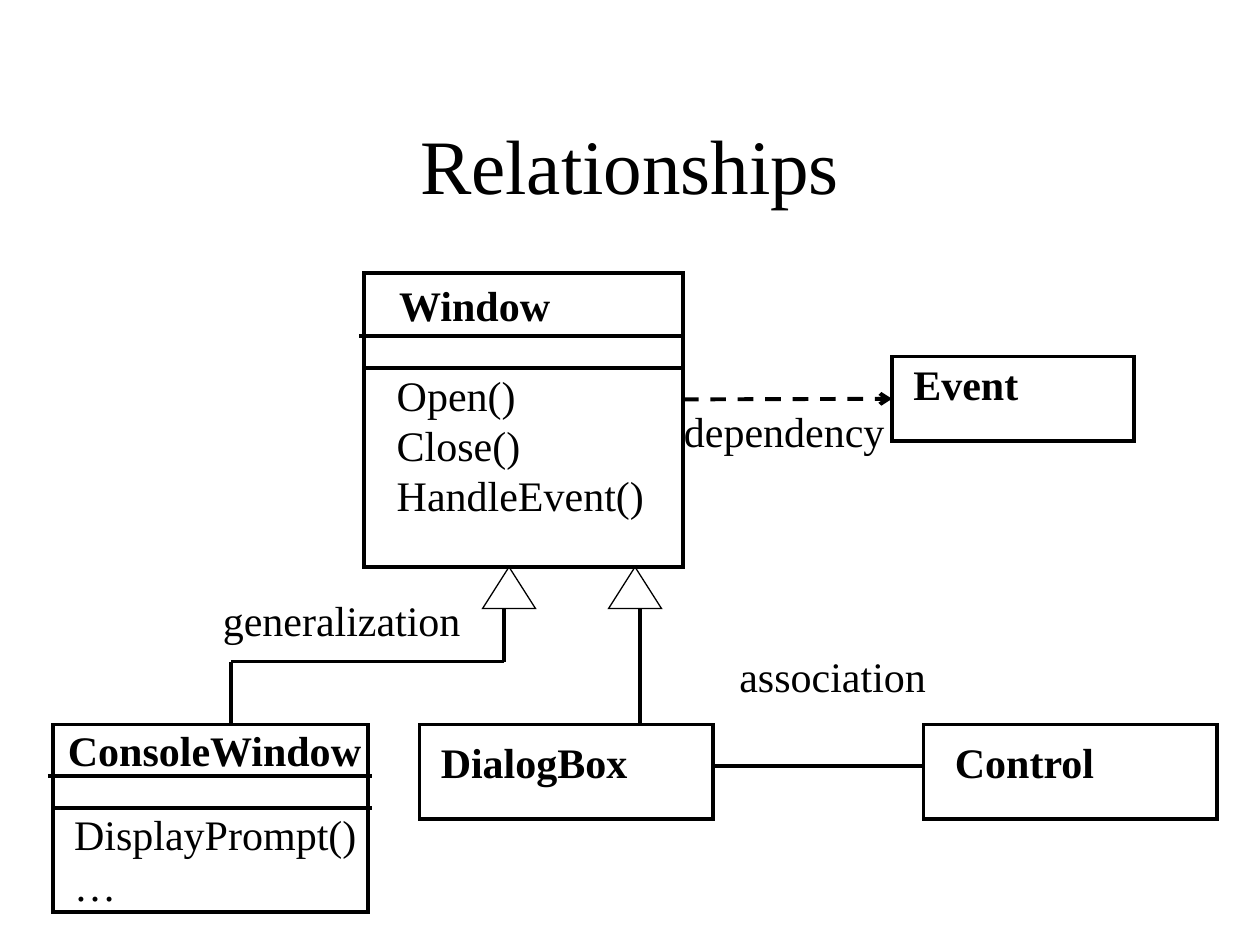
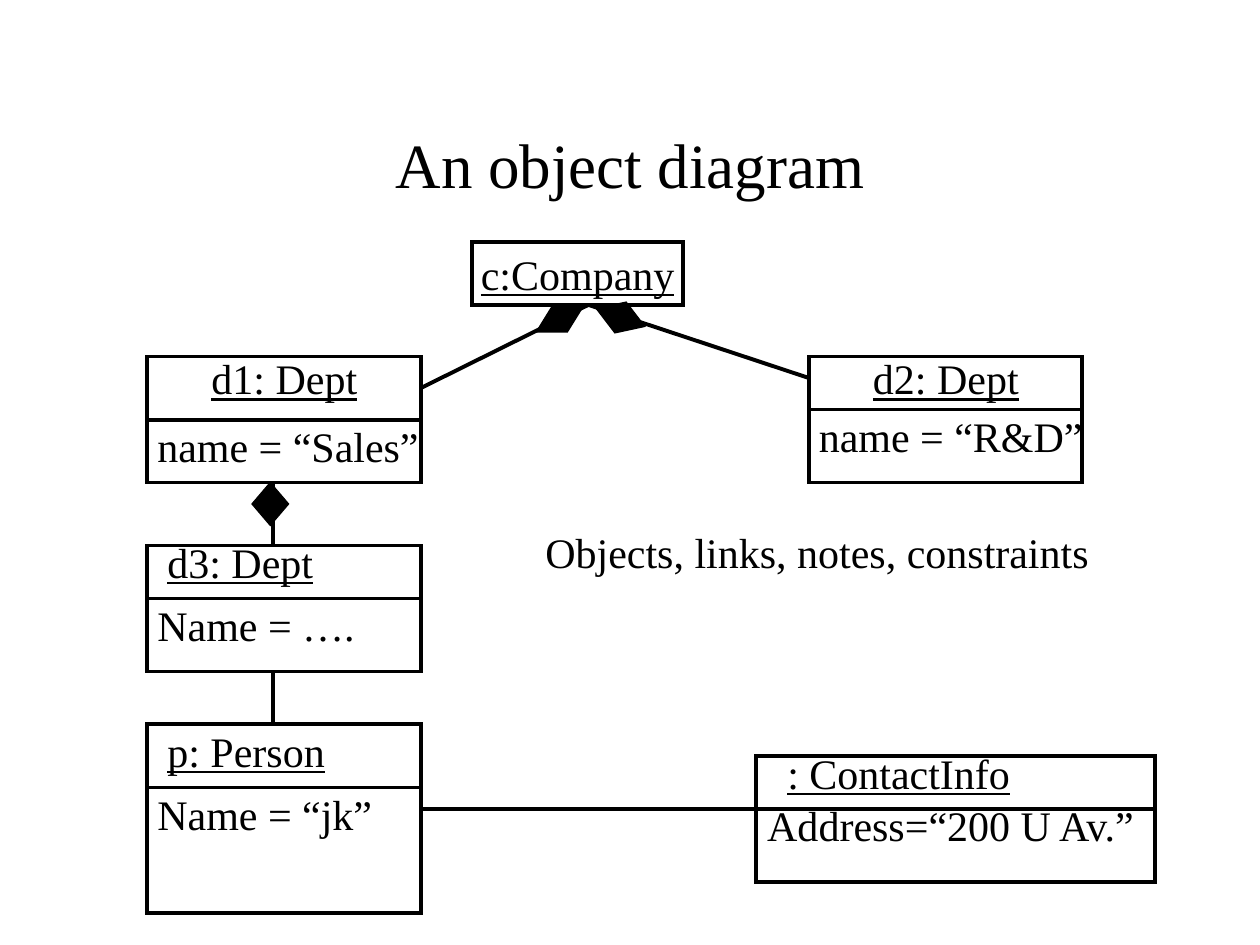
from dataclasses import dataclass
from itertools import pairwise

from lxml.etree import SubElement
from pptx import Presentation
from pptx.dml.color import RGBColor
from pptx.enum.dml import MSO_LINE_DASH_STYLE as Dash
from pptx.enum.shapes import MSO_CONNECTOR as Conn, MSO_SHAPE as Shape
from pptx.enum.text import MSO_ANCHOR as Anchor, MSO_AUTO_SIZE as Fit, PP_ALIGN as Align
from pptx.oxml.ns import qn
from pptx.util import Inches, Pt


@dataclass(frozen=True)
class Theme:
    """Colours, font, type sizes, line weights and label slack of the deck."""
    ink: RGBColor = RGBColor(0, 0, 0)
    paper: RGBColor = RGBColor(255, 255, 255)
    font: str = "Times New Roman"
    title: int = 44
    small_title: int = 36
    body: int = 24
    heavy: float = 2.25
    fine: float = 0.75
    slack: float = 0.05


@dataclass(frozen=True)
class Box:
    """A rectangle in inches."""
    x: float
    y: float
    w: float
    h: float

    @property
    def right(self):
        """Return the right edge."""
        return self.x + self.w

    @property
    def bottom(self):
        """Return the bottom edge."""
        return self.y + self.h

    def inches(self):
        """Return left, top, width and height as lengths."""
        return [Inches(v) for v in (self.x, self.y, self.w, self.h)]


THEME = Theme()
TITLE_BOX = Box(0.75, 0.67, 8.5, 1.25)


def add_run(p, text, size=THEME.body, bold=None, underline=None):
    """Add one styled run to a paragraph."""
    r = p.add_run()
    r.text = text
    r.font.name = THEME.font
    r.font.size = Pt(size)
    r.font.color.rgb = THEME.ink
    r.font.bold = bold
    r.font.underline = underline


def add_title(s, text, size):
    """Add the centred slide title."""
    tf = s.shapes.add_textbox(*TITLE_BOX.inches()).text_frame
    tf.word_wrap = True
    tf.vertical_anchor = Anchor.MIDDLE
    p = tf.paragraphs[0]
    p.alignment = Align.CENTER
    add_run(p, text, size)


def add_label(s, x, y, w, *lines, **style):
    """Add an unwrapped label with one paragraph for each line."""
    box = Box(x, y, w + THEME.slack, 0.1 + 0.4 * len(lines))
    tf = s.shapes.add_textbox(*box.inches()).text_frame
    tf.word_wrap = False
    tf.auto_size = Fit.SHAPE_TO_FIT_TEXT
    for i, line in enumerate(lines):
        add_run(tf.add_paragraph() if i else tf.paragraphs[0], line, **style)


def add_shape(s, kind, box, weight=THEME.fine, fill=None, rotation=0):
    """Add a sharp-cornered preset shape, filled if a colour is given."""
    sp = s.shapes.add_shape(kind, *box.inches())
    sp.shadow.inherit = False
    sp.rotation = rotation
    sp.line.color.rgb = THEME.ink
    sp.line.width = Pt(weight)
    SubElement(sp.line._get_or_add_ln(), qn("a:miter"), lim="800000")
    if fill is None:
        sp.fill.background()
    else:
        sp.fill.solid()
        sp.fill.fore_color.rgb = fill
    return sp


def add_line(s, start, end):
    """Add a straight heavy line between two points."""
    c = s.shapes.add_connector(Conn.STRAIGHT, *(Inches(v) for v in (*start, *end)))
    c.line.color.rgb = THEME.ink
    c.line.width = Pt(THEME.heavy)
    SubElement(c._element.spPr, qn("a:effectLst"))
    return c


def add_class(s, box, name, members=None, rules=()):
    """Add a class box; name and members are (dx, dy, width, lines), rules (dy, left, right)."""
    sp = add_shape(s, Shape.RECTANGLE, box, THEME.heavy)
    for dy, left, right in rules:
        add_line(s, (box.x - left, box.y + dy), (box.right + right, box.y + dy))
    for part, bold in ((name, True), (members, None)):
        if part:
            dx, dy, w, *lines = part
            add_label(s, box.x + dx, box.y + dy, w, *lines, bold=bold)
    return sp


def add_object(s, box, rule, name, value, value_offset=(-0.02, -0.04)):
    """Add an object box; name is (dx, dy, width, text), value (width, text) set from the rule."""
    add_shape(s, Shape.RECTANGLE, box, THEME.heavy)
    y = box.y + rule
    add_line(s, (box.x, y), (box.right, y))
    dx, dy, w, text = name
    add_label(s, box.x + dx, box.y + dy, w, text, underline=True)
    dx, dy = value_offset
    add_label(s, box.x + dx, y + dy, *value)


def add_dependency(s, start, target, box):
    """Add a dashed arrow that ends at the left side of the target."""
    c = add_line(s, start, (box.x, box.y + box.h / 2))
    c.end_connect(target, 1)
    c.line.dash_style = Dash.DASH
    SubElement(c.line._get_or_add_ln(), qn("a:tailEnd"), type="arrow")


def build_relationships(s):
    """Build the class diagram with its three kinds of relationship."""
    add_title(s, "Relationships", THEME.title)
    window = Box(2.89, 2.17, 2.53, 2.33)
    event = Box(7.08, 2.83, 1.92, 0.67)
    console = Box(0.42, 5.75, 2.5, 1.49)
    dialog = Box(3.33, 5.75, 2.33, 0.75)
    control = Box(7.33, 5.75, 2.33, 0.75)

    add_class(s, window, (0.18, 0, 1.4, "Window"),
              (0.16, 0.71, 2.16, "Open()", "Close()", "HandleEvent()"),
              [(0.5, 0.04, 0), (0.75, 0, 0)])
    event_shape = add_class(s, event, (0.07, -0.03, 1.03, "Event"))
    add_class(s, console, (0.02, -0.05, 2.53, "ConsoleWindow"),
              (0.07, 0.62, 2.44, "DisplayPrompt()", "…"),
              [(0.41, 0.04, 0.03), (0.66, 0, 0.03)])
    add_class(s, dialog, (0.07, 0.05, 1.68, "DialogBox"))
    add_class(s, control, (0.15, 0.05, 1.31, "Control"))

    add_dependency(s, (window.right, 3.17), event_shape, event)
    add_line(s, (dialog.right, 6.08), (control.x, 6.08))
    heads = [Box(x, window.bottom, 0.42, 0.33) for x in (3.83, 4.83)]
    for head in heads:
        add_shape(s, Shape.ISOSCELES_TRIANGLE, head)
    base = heads[0].bottom
    add_line(s, (5.08, base), (5.08, dialog.y))
    for start, end in pairwise([(4, base), (4, 5.25), (1.83, 5.25), (1.83, console.y)]):
        add_line(s, start, end)

    for label in ((5.77, 5.11, 1.68, "association"),
                  (5.33, 3.17, 1.79, "dependency"),
                  (1.67, 4.67, 2.09, "generalization")):
        add_label(s, *label)


def build_object_diagram(s):
    """Build the object diagram with its links and composition marks."""
    add_title(s, "An object diagram", THEME.small_title)
    company = Box(3.75, 1.92, 1.67, 0.5)
    sales, research, sub = (Box(x, y, 2.17, 1) for x, y in
                            ((1.17, 2.83), (6.42, 2.83), (1.17, 4.33)))
    person = Box(1.17, 5.75, 2.17, 1.5)
    contact = Box(6, 6, 3.17, 1)

    tf = add_shape(s, Shape.RECTANGLE, company, THEME.heavy).text_frame
    tf.word_wrap = False
    tf.vertical_anchor = Anchor.MIDDLE
    tf.paragraphs[0].alignment = Align.CENTER
    add_run(tf.paragraphs[0], "c:Company", underline=True)

    add_object(s, sales, 0.5, (0.41, -0.08, 1.35, "d1: Dept"), (2.27, "name = “Sales”"))
    add_object(s, research, 0.42, (0.41, -0.08, 1.35, "d2: Dept"), (2.29, "name = “R&D”"))
    add_object(s, sub, 0.42, (0.06, -0.12, 1.35, "d3: Dept"), (1.76, "Name = …."))
    add_object(s, person, 0.5, (0.06, -0.04, 1.45, "p: Person"), (1.9, "Name = “jk”"))
    add_object(s, contact, 0.42, (0.15, -0.12, 1.97, ": ContactInfo"),
               (3.17, "Address=“200 U Av.”"), (-0.01, -0.12))

    root = (4.67, company.bottom)
    for start, end in ((root, (research.x, 3)),
                       (root, (sales.right, 3.08)),
                       ((2.17, sales.bottom), (2.17, sub.y)),
                       ((2.17, sub.bottom), (2.17, person.y)),
                       ((person.right, 6.42), (contact.x, 6.42))):
        add_line(s, start, end)
    for box, rotation in ((Box(4.23, 2.41, 0.43, 0.24), 330.9),
                          (Box(4.72, 2.39, 0.41, 0.26), 20.2),
                          (Box(2, sales.bottom, 0.29, 0.34), 0)):
        add_shape(s, Shape.DIAMOND, box, fill=THEME.ink, rotation=rotation)
    add_label(s, 4.23, 4.13, 4.51, "Objects, links, notes, constraints")


def main():
    """Build and save the deck."""
    prs = Presentation()
    prs.slide_width, prs.slide_height = Inches(10), Inches(7.5)
    for build in (build_relationships, build_object_diagram):
        s = prs.slides.add_slide(prs.slide_layouts[6])
        s.background.fill.solid()
        s.background.fill.fore_color.rgb = THEME.paper
        build(s)
    prs.save("out.pptx")


if __name__ == "__main__":
    main()
